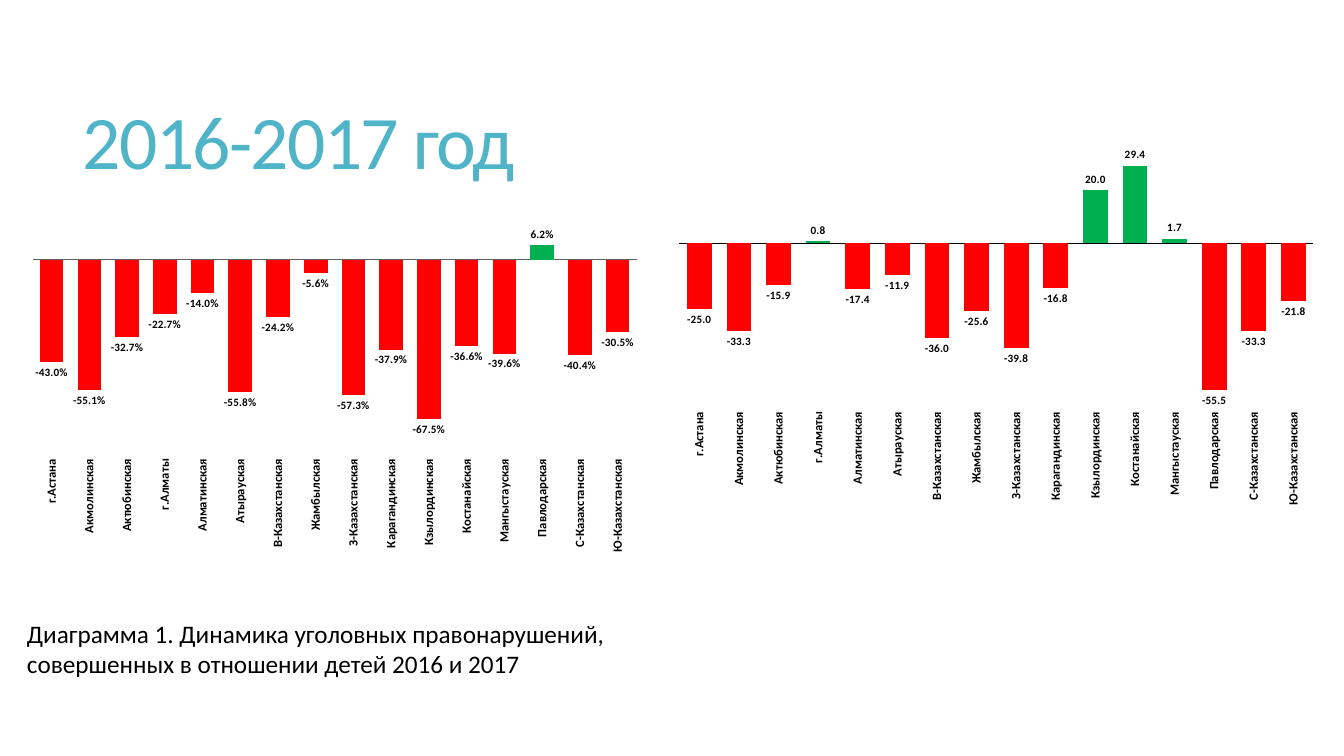
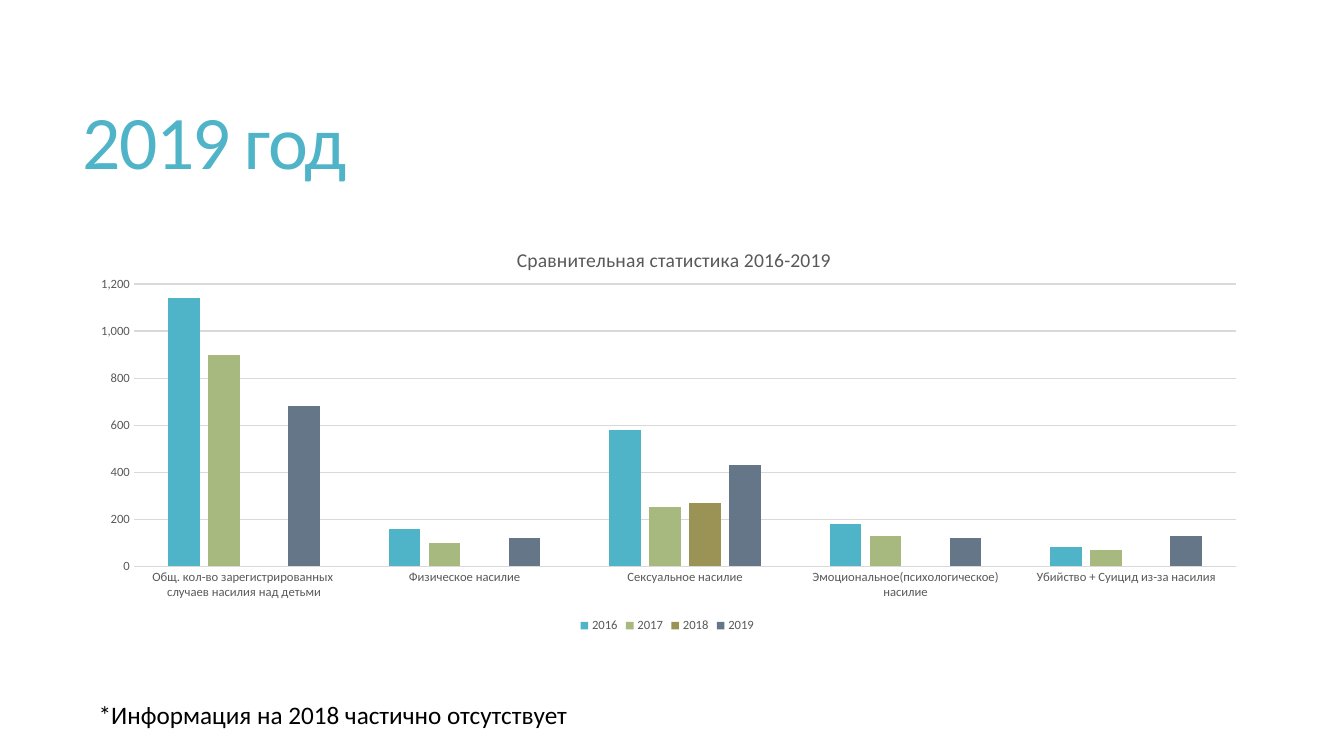
from lxml.etree import SubElement
from pptx import Presentation
from pptx.chart.data import CategoryChartData
from pptx.dml.color import RGBColor
from pptx.enum.chart import (XL_CHART_TYPE, XL_LABEL_POSITION, XL_LEGEND_POSITION,
                             XL_TICK_LABEL_POSITION, XL_TICK_MARK)
from pptx.enum.text import MSO_ANCHOR, MSO_AUTO_SIZE, PP_ALIGN
from pptx.oxml.ns import qn
from pptx.util import Pt

FONT = "Calibri"
COLORS = {
    "title": "50B4C8", "text": "000000", "muted": "595959", "grid": "D9D9D9",
    "fall": "FF0000", "rise": "00B050", "axis": "606060",
    "2016": "50B4C8", "2017": "A8B97F", "2018": "9B9256", "2019": "657689",
}
TITLE_BOX = (52, 39.6, 848, 130.3)
REGIONS = [
    "г.Астана", "Акмолинская", "Актюбинская", "г.Алматы", "Алматинская", "Атырауская",
    "В-Казахстанская", "Жамбылская", "З-Казахстанская", "Карагандинская", "Кзылординская",
    "Костанайская", "Мангыстауская", "Павлодарская", "С-Казахстанская", "Ю-Казахстанская",
]
CHANGE_SHARE = [-0.43, -0.551, -0.327, -0.227, -0.14, -0.558, -0.242, -0.056,
                -0.573, -0.379, -0.675, -0.366, -0.396, 0.062, -0.404, -0.305]
CHANGE_POINTS = [-25, -33.3, -15.9, 0.8, -17.4, -11.9, -36, -25.6,
                 -39.8, -16.8, 20, 29.4, 1.7, -55.5, -33.3, -21.8]
VIOLENCE_KINDS = [
    "Общ. кол-во зарегистрированных  случаев насилия над детьми", "Физическое насилие",
    "Сексуальное насилие", "Эмоциональное(психологическое) насилие",
    "Убийство + Суицид из-за насилия",
]
CASES_BY_YEAR = {
    "2016": [1140, 160, 580, 180, 80],
    "2017": [900, 100, 250, 130, 70],
    "2018": [None, None, 270, None, None],
    "2019": [680, 120, 430, 120, 130],
}


def rgb(name):
    """Return the named colour of the palette."""
    return RGBColor.from_string(COLORS[name])


def style_font(font, size, color, bold=False):
    """Apply the common typeface with a size and colour."""
    font.name, font.size, font.bold = FONT, Pt(size), bold
    font.color.rgb = rgb(color)


def style_line(line, color):
    """Draw a thin line in a palette colour."""
    line.color.rgb = rgb(color)
    line.width = Pt(0.75)


def set_layout(part, target=None, **fractions):
    """Fix a chart part at fractions of the chart area."""
    layout = part.find(qn("c:layout"))
    if layout is None:
        layout = part.makeelement(qn("c:layout"))
        part.insert(0, layout)
    manual = SubElement(layout, qn("c:manualLayout"))
    if target:
        SubElement(manual, qn("c:layoutTarget")).set("val", target)
    for side in ("x", "y"):
        SubElement(manual, qn(f"c:{side}Mode")).set("val", "edge")
    for side, fraction in fractions.items():
        SubElement(manual, qn(f"c:{side}")).set("val", str(fraction))


def add_titled_slide(prs, heading):
    """Add a slide with the shared title style."""
    slide = prs.slides.add_slide(prs.slide_layouts[5])
    title = slide.shapes.title
    title.left, title.top, title.width, title.height = map(Pt, TITLE_BOX)
    frame = title.text_frame
    frame.text = heading
    frame.auto_size = MSO_AUTO_SIZE.NONE
    frame.vertical_anchor = MSO_ANCHOR.MIDDLE
    paragraph = frame.paragraphs[0]
    paragraph.alignment = PP_ALIGN.LEFT
    paragraph.line_spacing = 0.85
    run = paragraph.runs[0]
    style_font(run.font, 54, "title")
    run.font._element.set("spc", "-120")
    return slide


def add_caption(slide, box, words, wrap=True):
    """Add a plain caption in the given box."""
    frame = slide.shapes.add_textbox(*map(Pt, box)).text_frame
    frame.word_wrap = wrap
    frame.text = words
    style_font(frame.paragraphs[0].runs[0].font, 18, "text")


def add_columns(slide, box, categories, series, gap, overlap, plot_area):
    """Add a clustered column chart with the common settings."""
    data = CategoryChartData()
    data.categories = categories
    for name, values in series.items():
        data.add_series(name, values)
    chart = slide.shapes.add_chart(
        XL_CHART_TYPE.COLUMN_CLUSTERED, *map(Pt, box), data).chart
    style_font(chart.font, 10, "text")
    columns = chart.plots[0]
    columns.vary_by_categories = False
    columns.gap_width, columns.overlap = gap, overlap
    for axis in (chart.category_axis, chart.value_axis):
        axis.major_tick_mark = axis.minor_tick_mark = XL_TICK_MARK.NONE
    left, top, width, height = plot_area
    set_layout(chart._chartSpace.chart.plotArea, "inner", x=left, y=top, w=width, h=height)
    return chart


def add_change_chart(slide, box, values, low, high, number_format, plot_height, axis_color):
    """Add a chart of rises and falls by region."""
    chart = add_columns(slide, box, REGIONS, {"Series 1": values}, 60, -25,
                        (0.02, 0.02, 0.96, plot_height))
    chart.has_title = chart.has_legend = False

    scale = chart.value_axis
    scale.minimum_scale, scale.maximum_scale = low, high
    scale.has_major_gridlines = scale.visible = False

    regions = chart.category_axis
    regions.tick_label_position = XL_TICK_LABEL_POSITION.LOW
    style_font(regions.tick_labels.font, 9, "text", bold=True)
    style_line(regions.format.line, axis_color)
    turn = regions._element.find(f"{qn('c:txPr')}/{qn('a:bodyPr')}")
    turn.set("rot", "-5400000")
    turn.set("vert", "horz")

    change = chart.plots[0].series[0]
    change.invert_if_negative = False
    change.format.fill.solid()
    change.format.fill.fore_color.rgb = rgb("fall")
    for index, value in enumerate(values):
        if value > 0:
            fill = change.points[index].format.fill
            fill.solid()
            fill.fore_color.rgb = rgb("rise")

    labels = change.data_labels
    labels.show_value = True
    labels.number_format, labels.number_format_is_linked = number_format, False
    labels.position = XL_LABEL_POSITION.OUTSIDE_END
    style_font(labels.font, 8, "text", bold=True)


def add_comparison_chart(slide, box):
    """Add the yearly comparison by kind of violence."""
    chart = add_columns(slide, box, VIOLENCE_KINDS, CASES_BY_YEAR, 219, -27,
                        (0.05, 0.15, 0.93, 0.68))
    chart.has_title = True
    heading = chart.chart_title.text_frame
    heading.text = "Сравнительная статистика 2016-2019"
    style_font(heading.paragraphs[0].runs[0].font, 14, "muted")
    set_layout(chart.chart_title._element, x=0.37, y=0.05)

    chart.has_legend = True
    chart.legend.position = XL_LEGEND_POSITION.BOTTOM
    chart.legend.include_in_layout = False
    style_font(chart.legend.font, 9, "muted")

    for axis in (chart.category_axis, chart.value_axis):
        style_font(axis.tick_labels.font, 9, "muted")
    style_line(chart.category_axis.format.line, "grid")
    scale = chart.value_axis
    scale.minimum_scale, scale.maximum_scale, scale.major_unit = 0, 1200, 200
    scale.tick_labels.number_format = "#,##0"
    scale.tick_labels.number_format_is_linked = False
    scale.format.line.fill.background()
    style_line(scale.major_gridlines.format.line, "grid")

    for year in chart.plots[0].series:
        year.invert_if_negative = False
        year.format.fill.solid()
        year.format.fill.fore_color.rgb = rgb(year.name)


def build_change_slide(prs):
    """Build the slide on changes in 2016-2017."""
    slide = add_titled_slide(prs, "2016-2017 год")
    add_change_chart(slide, (475.9, 92.9, 471.6, 273.6), CHANGE_POINTS,
                     -60, 40, "0.0", 0.69, "text")
    add_caption(slide, (12.2, 437.8, 471.6, 51), "Диаграмма 1. Динамика уголовных "
                "правонарушений, совершенных в отношении детей 2016 и 2017")
    add_change_chart(slide, (14.4, 146.9, 449.3, 252), CHANGE_SHARE,
                     -0.8, 0.2, "0.0%", 0.67, "axis")


def build_comparison_slide(prs):
    """Build the slide comparing 2016-2019."""
    slide = add_titled_slide(prs, "2019 год")
    add_comparison_chart(slide, (53.3, 158.4, 846.7, 296.6))
    add_caption(slide, (63.4, 496, 350, 29),
                "*Информация на 2018 частично отсутствует", wrap=False)


def main():
    """Build and save the presentation."""
    prs = Presentation()
    prs.slide_width, prs.slide_height = Pt(960), Pt(540)
    build_change_slide(prs)
    build_comparison_slide(prs)
    prs.save("out.pptx")


if __name__ == "__main__":
    main()
